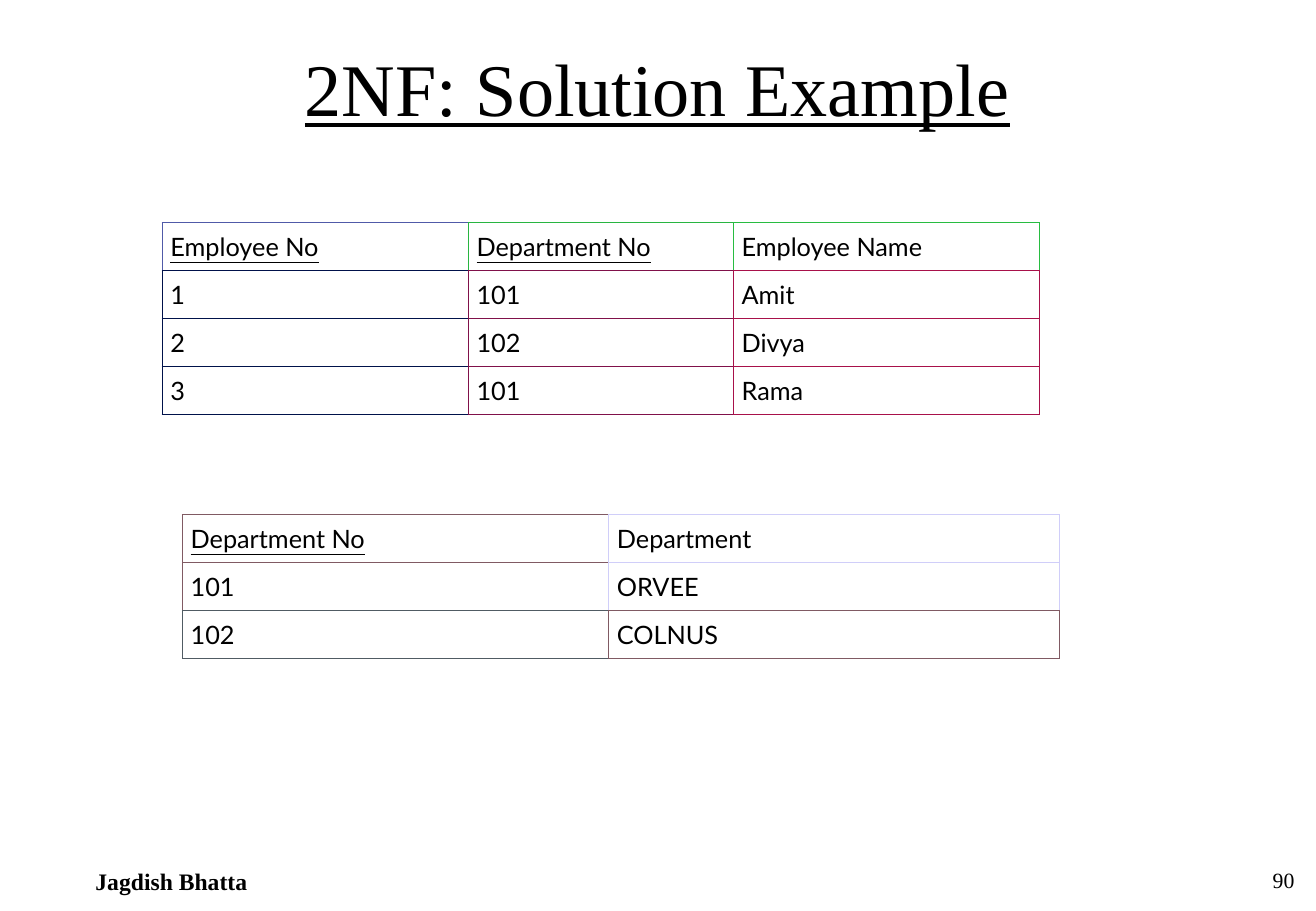
from lxml.etree import SubElement
from pptx import Presentation
from pptx.dml.color import RGBColor
from pptx.enum.text import MSO_ANCHOR, MSO_AUTO_SIZE, PP_ALIGN
from pptx.oxml.ns import qn
from pptx.util import Pt

BLACK = RGBColor(0, 0, 0)
WHITE = RGBColor(255, 255, 255)
BLUE = RGBColor(0x50, 0x5A, 0xA8)
GREEN = RGBColor(0x28, 0xB5, 0x41)
LIME = RGBColor(0x28, 0xBC, 0x41)
NAVY = RGBColor(0x00, 0x11, 0x4A)
INK = RGBColor(0x00, 0x12, 0x4A)
PLUM = RGBColor(0x80, 0x11, 0x4A)
RED = RGBColor(0xA8, 0x11, 0x4A)
MAUVE = RGBColor(0x80, 0x5A, 0x63)
LILAC = RGBColor(0xD0, 0xCE, 0xF9)
SLATE = RGBColor(0x50, 0x5B, 0x63)

SERIF = "Times New Roman"
SANS = "Lato"
ROW = 28.5
INNER, OUTER = 0.45, 0.34

STAFF = [
    ["Employee No", "Department No", "Employee Name"],
    ["1", "101", "Amit"],
    ["2", "102", "Divya"],
    ["3", "101", "Rama"],
]
STAFF_TONES = [
    [BLUE, GREEN, LIME],
    [NAVY, PLUM, RED],
    [INK, PLUM, RED],
    [INK, PLUM, RED],
]
UNITS = [
    ["Department No", "Department"],
    ["101", "ORVEE"],
    ["102", "COLNUS"],
]
UNIT_TONES = [
    [MAUVE, LILAC],
    [MAUVE, LILAC],
    [SLATE, MAUVE],
]


def style(frame, text, font, size, align=PP_ALIGN.LEFT, bold=False, under=False):
    frame.text = text
    para = frame.paragraphs[0]
    para.alignment = align
    face = para.runs[0].font
    face.name, face.size = font, Pt(size)
    face.bold, face.underline = bold, under
    face.color.rgb = BLACK


def place(shape, box):
    shape.left, shape.top, shape.width, shape.height = map(Pt, box)


def add_title(slide, box, text):
    title = slide.shapes.title
    place(title, box)
    frame = title.text_frame
    frame.auto_size = MSO_AUTO_SIZE.NONE
    frame.vertical_anchor = MSO_ANCHOR.TOP
    style(frame, text, SERIF, 44, PP_ALIGN.CENTER, under=True)


def add_note(slide, box, text, size, align, bold):
    frame = slide.shapes.add_textbox(*map(Pt, box)).text_frame
    frame.word_wrap = True
    style(frame, text, SERIF, size, align, bold)


def add_edge(cell, side, width, tone):
    line = SubElement(cell._tc.get_or_add_tcPr(), qn(f"a:ln{side}"), w=str(Pt(width)))
    fill = SubElement(line, qn("a:solidFill"))
    SubElement(fill, qn("a:srgbClr"), val=str(tone))


def add_edges(cell, tones, row, col):
    own = tones[row][col]
    last_row = row == len(tones) - 1
    last_col = col == len(tones[0]) - 1
    right = own if last_col else tones[row][col + 1]
    below = own if last_row else tones[row + 1][col]
    add_edge(cell, "L", INNER, own)
    add_edge(cell, "R", OUTER if last_col else INNER, right)
    add_edge(cell, "T", INNER, own)
    add_edge(cell, "B", OUTER if last_row else INNER, below)


def add_grid(slide, left, top, widths, data, tones, keys):
    box = left, top, sum(widths), ROW * len(data)
    table = slide.shapes.add_table(len(data), len(widths), *map(Pt, box)).table
    table.first_row = table.horz_banding = False
    for col, width in enumerate(widths):
        table.columns[col].width = Pt(width)
    for row, texts in enumerate(data):
        table.rows[row].height = Pt(ROW)
        for col, text in enumerate(texts):
            cell = table.cell(row, col)
            add_edges(cell, tones, row, col)
            cell.fill.solid()
            cell.fill.fore_color.rgb = WHITE
            cell.vertical_anchor = MSO_ANCHOR.MIDDLE
            cell.margin_left = cell.margin_right = Pt(5.1)
            cell.margin_top = cell.margin_bottom = Pt(3.6)
            style(cell.text_frame, text, SANS, 15, under=row == 0 and col < keys)


def main():
    deck = Presentation()
    deck.slide_width, deck.slide_height = Pt(780.48), Pt(540)
    slide = deck.slides.add_slide(deck.slide_layouts[5])
    add_title(slide, (39, 21.6, 702, 90), "2NF: Solution Example")
    add_note(slide, (49.5, 510, 148.5, 24), "Jagdish Bhatta", 14, PP_ALIGN.LEFT, True)
    add_note(slide, (612, 510, 162.75, 24), "90", 12.9, PP_ALIGN.RIGHT, False)
    add_grid(slide, 108, 304.9, (252.8, 267.4), UNITS, UNIT_TONES, 1)
    add_grid(slide, 96, 131.8, (181.6, 157.2, 181.6), STAFF, STAFF_TONES, 2)
    deck.save("out.pptx")


if __name__ == "__main__":
    main()
